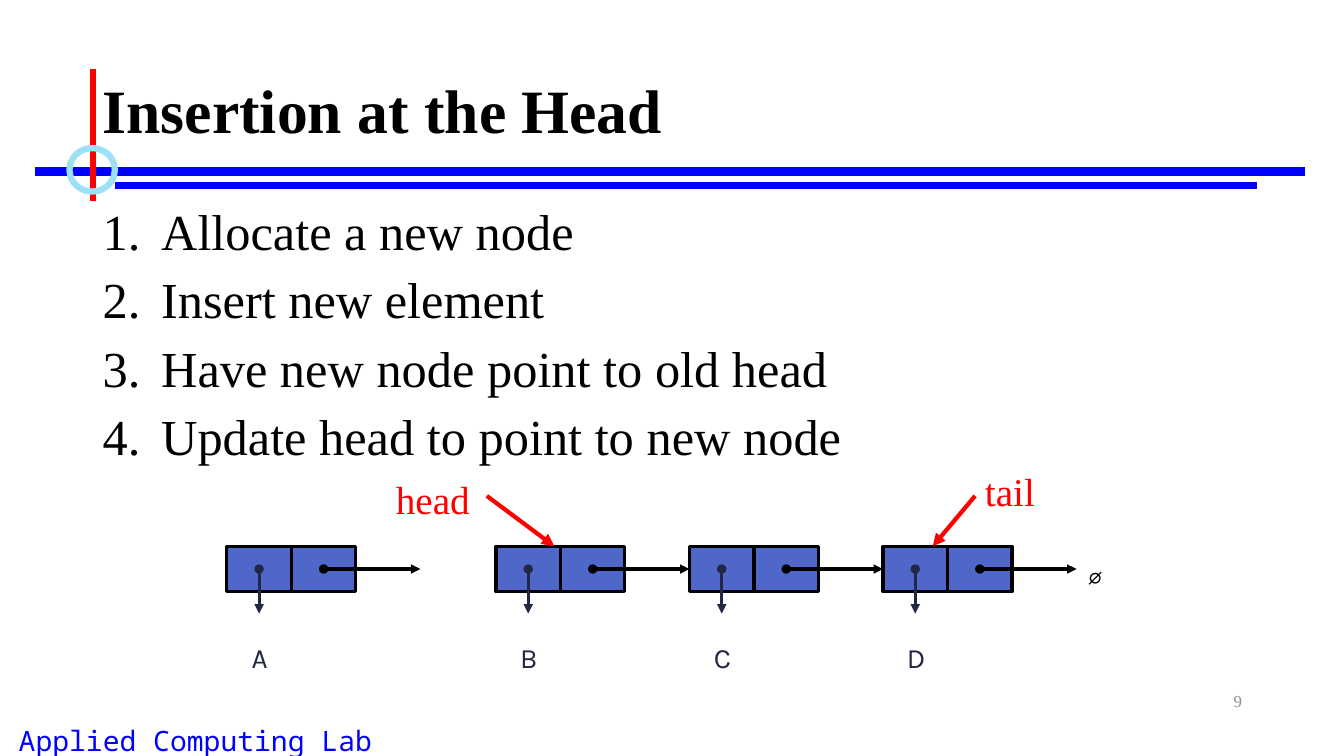
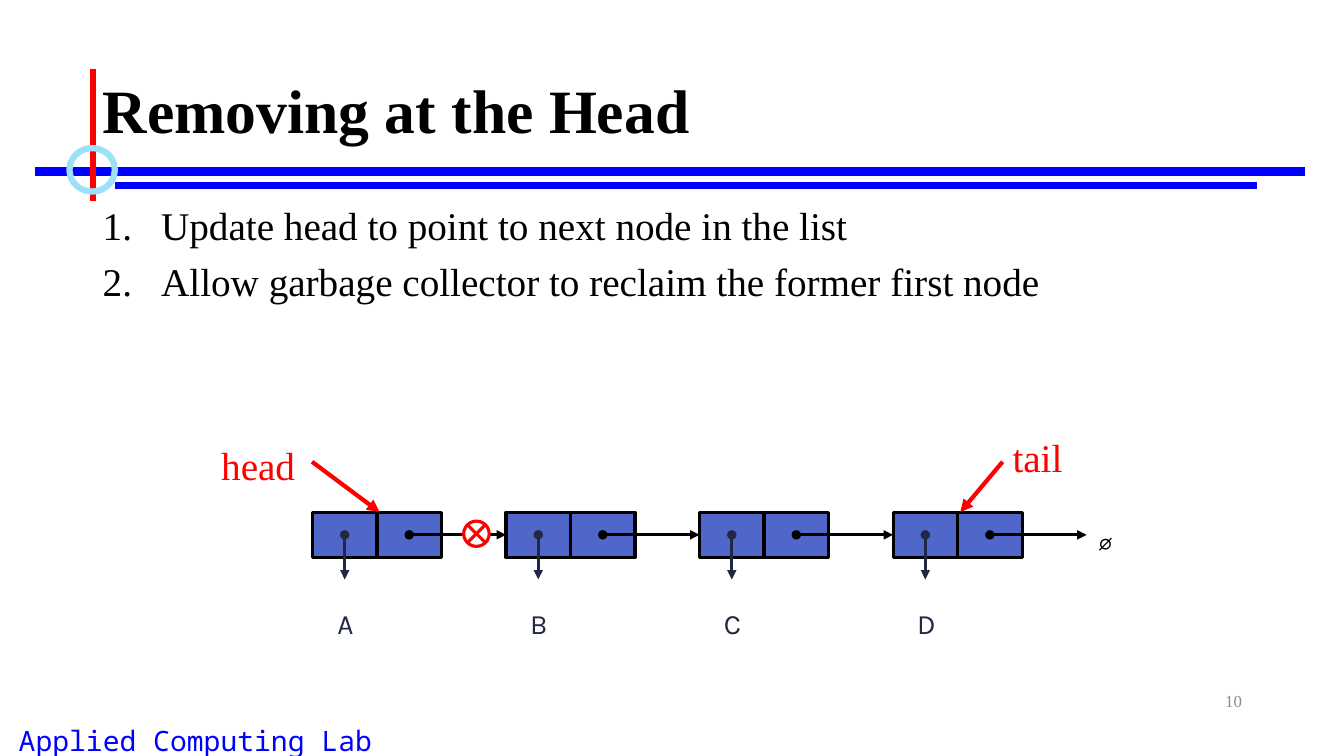
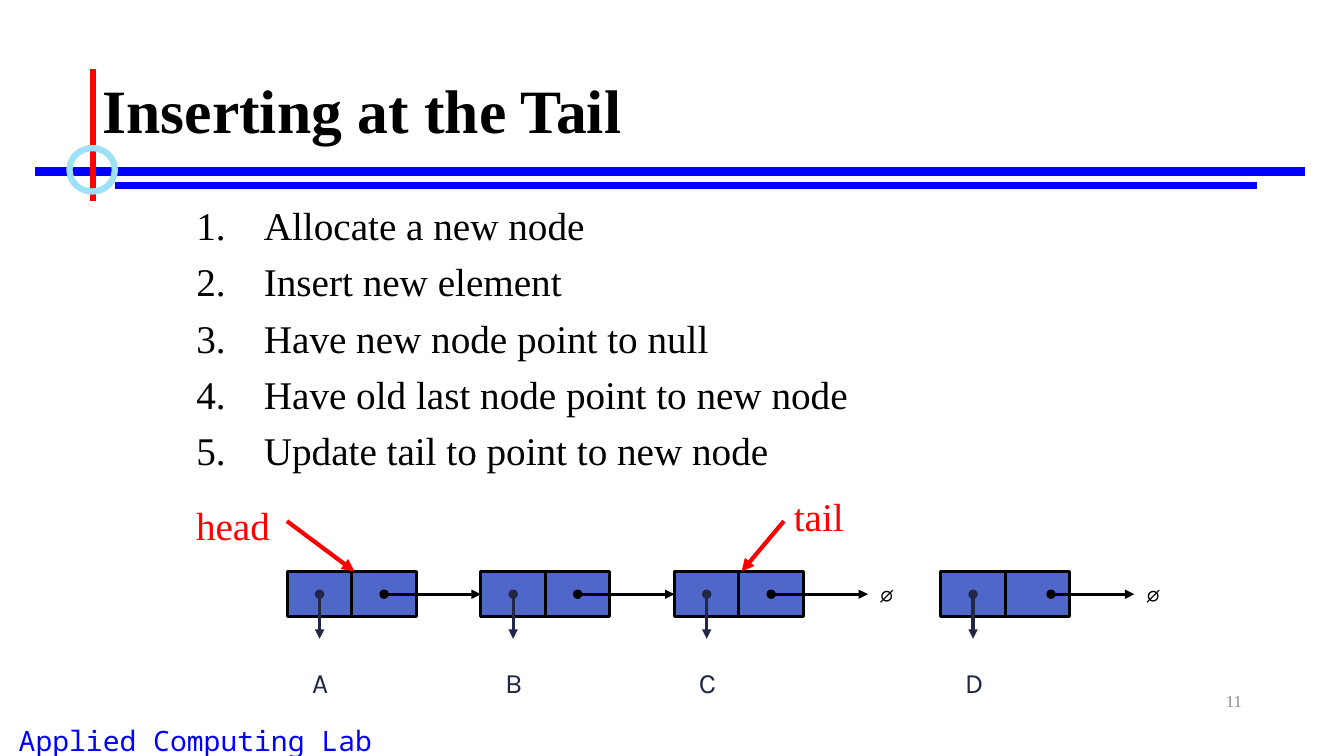
"""Build three slides on inserting and removing nodes in a linked list."""
from pptx import Presentation, util as u
from pptx.dml.color import RGBColor
from pptx.enum import shapes, text
from pptx.oxml.ns import qn

W, H = u.Inches(13.33), u.Inches(7.5)
BLACK = RGBColor(0x00, 0x00, 0x00)
WHITE = RGBColor(0xFF, 0xFF, 0xFF)
BLUE = RGBColor(0x00, 0x00, 0xFF)
RED = RGBColor(0xFF, 0x00, 0x00)
SKY = RGBColor(0x9E, 0xE0, 0xF8)
CELL = RGBColor(0x4E, 0x67, 0xC8)
NAVY = RGBColor(0x21, 0x27, 0x45)
GRAY = RGBColor(0x8C, 0x8C, 0x8C)
SERIF, SANS, MONO = "Times New Roman", "Karla", "Noto Sans Mono"
LEFT, CENTER, RIGHT = text.PP_ALIGN.LEFT, text.PP_ALIGN.CENTER, text.PP_ALIGN.RIGHT
TOP, MIDDLE = text.MSO_ANCHOR.TOP, text.MSO_ANCHOR.MIDDLE
CELL_W, CELL_H = 4.8, 6
PITCH = 3 * CELL_W


def grid(*lengths):
    """Turn alternating columns and rows of a 100 by 100 grid into lengths."""
    return [u.Emu(int(n * (H if i % 2 else W) / 100)) for i, n in enumerate(lengths)]


def write(s, lines, box, size, color=BLACK, font=SERIF, bold=False, align=LEFT,
          anchor=TOP, wrap=True, spacing=None, before=None, indent=None):
    """Add a text box with one paragraph per line, numbered if indented."""
    tf = s.shapes.add_textbox(*grid(*box)).text_frame
    tf.word_wrap, tf.vertical_anchor = wrap, anchor
    for i, line in enumerate(lines):
        p = tf.add_paragraph() if i else tf.paragraphs[0]
        p.alignment, p.line_spacing = align, spacing
        if before:
            p.space_before = u.Pt(before)
        if indent:
            ppr = p._p.get_or_add_pPr()
            ppr.set("marL", str(u.Inches(indent)))
            ppr.set("indent", str(-u.Inches(indent)))
            number = ppr.makeelement(qn("a:buAutoNum"), {"type": "arabicPeriod"})
            ppr.append(number)
        r = p.add_run()
        r.text = line
        r.font.size, r.font.name, r.font.bold = u.Pt(size), font, bold
        r.font.color.rgb = color


def shape(s, kind, box, color, width, fill=None):
    """Add an outlined preset shape, filled if a fill is given."""
    sp = s.shapes.add_shape(kind, *grid(*box))
    sp.shadow.inherit = False
    sp.line.color.rgb, sp.line.width = color, u.Pt(width)
    if fill is None:
        sp.fill.background()
    else:
        sp.fill.solid()
        sp.fill.fore_color.rgb = fill
    return sp


def line(s, ends, color, width, head=None, tail=None):
    """Add a straight connector with optional end marks."""
    c = s.shapes.add_connector(shapes.MSO_CONNECTOR.STRAIGHT, *grid(*ends))
    c.line.color.rgb, c.line.width = color, u.Pt(width)
    ln = c.line._get_or_add_ln()
    for tag, mark in (("a:headEnd", head), ("a:tailEnd", tail)):
        if mark:
            ln.append(ln.makeelement(qn(tag), {"type": mark}))
    ln.getparent().append(ln.makeelement(qn("a:effectLst"), {}))
    return c


def frame(prs, title, number):
    """Add a slide with the shared rules, footer, number and title."""
    s = prs.slides.add_slide(prs.slide_layouts[6])
    write(s, ["Applied Computing Lab"], (-4.35, 95.07, 37.8, 5.73), 20, BLUE, MONO,
          align=CENTER)
    line(s, (2.62, 22.67, 97.13, 22.67), BLUE, 6)
    line(s, (8.55, 24.53, 93.53, 24.53), BLUE, 4.5)
    line(s, (6.9, 9.07, 6.9, 26.53), RED, 4.5)
    shape(s, shapes.MSO_SHAPE.OVAL, (5.17, 19.6, 3.38, 5.73), SKY, 4.5)
    write(s, [str(number)], (70.65, 90, 22.5, 5.33), 12, GRAY, align=RIGHT, anchor=MIDDLE)
    write(s, [title], (6.9, 5.33, 86.25, 19.33), 44, bold=True, anchor=MIDDLE, spacing=0.9)
    return s


def steps(s, lines, size, x=6.9, w=86.25, indent=0.58):
    """Add the numbered list of steps."""
    write(s, lines, (x, 26.67, w, 63.47), size, spacing=0.9, before=10, indent=indent)


def chain(s, letters, x, y, null_dy=None, stem=1.5 * CELL_W):
    """Draw linked nodes, ending in a null sign if its drop is given."""
    lefts = [x + i * PITCH for i in range(len(letters))]
    cells = [[shape(s, shapes.MSO_SHAPE.RECTANGLE, (left + dx, y, CELL_W, CELL_H),
                    BLACK, 2.25, CELL) for dx in (0, CELL_W)] for left in lefts]
    mid = y + CELL_H / 2
    for i, (letter, left) in enumerate(zip(letters, lefts)):
        link = line(s, (left + stem, mid, left + PITCH, mid), BLACK, 2.25, "oval", "triangle")
        if i + 1 < len(cells):
            link.end_connect(cells[i + 1][0], 1)
        center = left + CELL_W / 2
        line(s, (center, mid, center, y + 8.9), NAVY, 2.25, "oval", "triangle")
        write(s, [letter], (center - 1.35, y + 11.8, 2.8, 5.73), 20, NAVY, SANS,
              align=CENTER, wrap=False)
    if null_dy is not None:
        write(s, ["∅"], (lefts[-1] + PITCH - 0.2, y + null_dy, 3.2, 5.73), 20, BLACK, SANS,
              align=CENTER, wrap=False)


def pointer(s, label, tip, y, dx, label_box):
    """Draw a red label and its arrow down to a node."""
    start = tip + dx
    shift, rise, w = label_box
    write(s, [label], (start + shift, y - rise, w, 7.6), 28, RED, wrap=False)
    line(s, (start, y - 6.67, tip, y), RED, 3, tail="triangle")


def pointers(s, head_tip, tail_tip, y):
    """Mark the head and the tail of a list."""
    pointer(s, "head", head_tip, y, -5.03, (-7.5, 10, 7))
    pointer(s, "tail", tail_tip, y, 3.15, (0, 11.13, 5.25))


def insert_head(prs):
    """Add the slide on inserting at the head."""
    s = frame(prs, "Insertion at the Head", 9)
    steps(s, ["Allocate a new node", "Insert new element",
              "Have new node point to old head", "Update head to point to new node"], 36)
    y = 72.27
    chain(s, "A", 16.88, y)
    chain(s, "BCD", 36.9, y, null_dy=1)
    pointers(s, 41.25, 69.4, y)


def remove_head(prs):
    """Add the slide on removing at the head."""
    s = frame(prs, "Removing at the Head", 10)
    steps(s, ["Update head to point to next node in the list",
              "Allow garbage collector to reclaim the former first node"], 28)
    x, y = 23.25, 67.75
    chain(s, "ABCD", x, y, null_dy=1)
    pointers(s, x + 5, x + 3 * PITCH + 5, y)
    shape(s, shapes.MSO_SHAPE.FLOWCHART_SUMMING_JUNCTION, (34.5, 68.93, 1.9, 3.35),
          RED, 2.25, WHITE)


def insert_tail(prs):
    """Add the slide on inserting at the tail."""
    s = frame(prs, "Inserting at the Tail", 11)
    steps(s, ["Allocate a new node", "Insert new element", "Have new node point to null",
              "Have old last node point to new node", "Update tail to point to new node"],
          28, x=13.87, w=67.5, indent=0.67)
    x, y = 21.38, 75.6
    chain(s, "ABC", x, y, null_dy=0)
    chain(s, "D", 70, y, null_dy=0, stem=8.2)
    pointers(s, x + 5, x + 2 * PITCH + 5, y)


def main():
    """Build and save the presentation."""
    prs = Presentation()
    prs.slide_width, prs.slide_height = W, H
    insert_head(prs)
    remove_head(prs)
    insert_tail(prs)
    prs.save("out.pptx")


if __name__ == "__main__":
    main()
